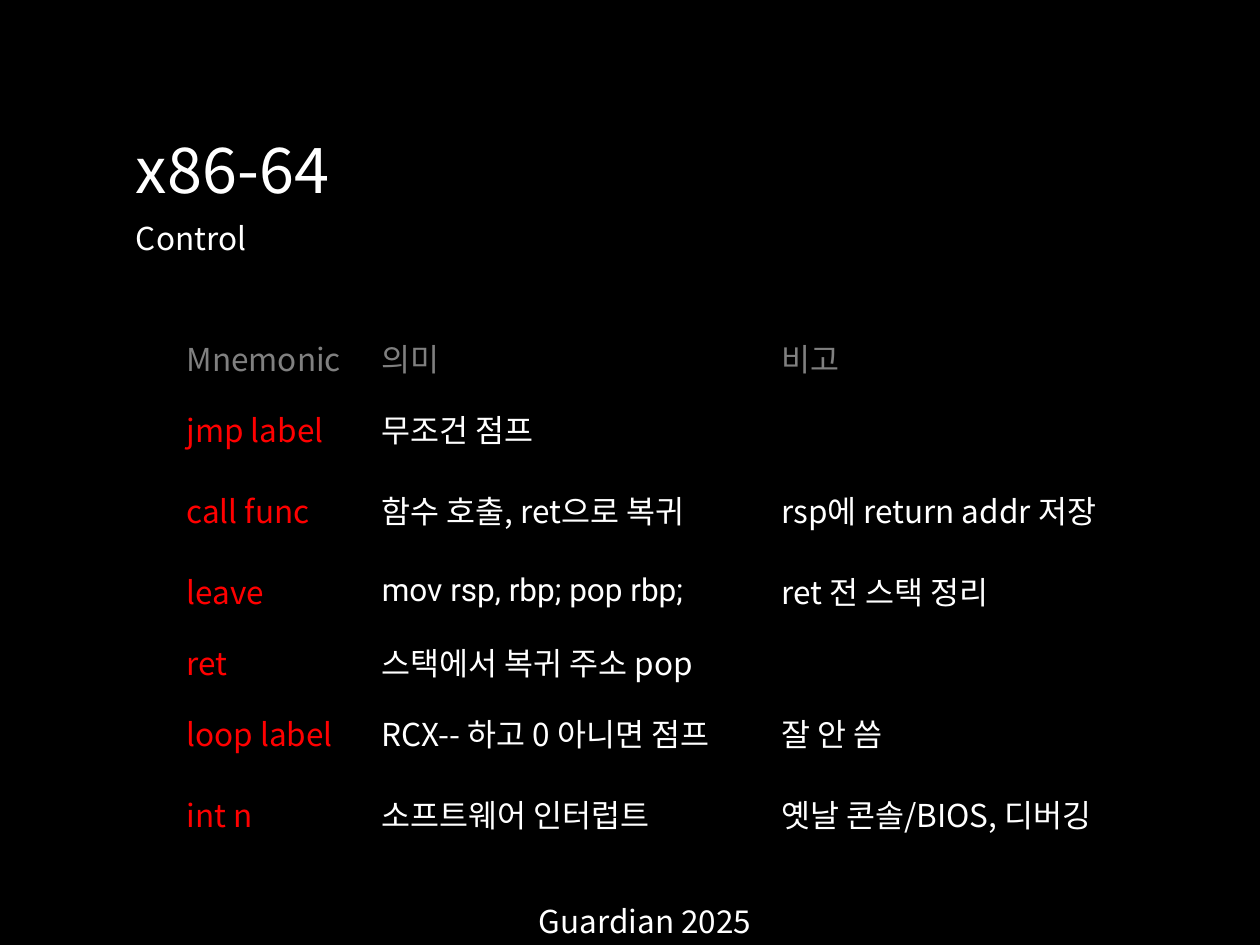
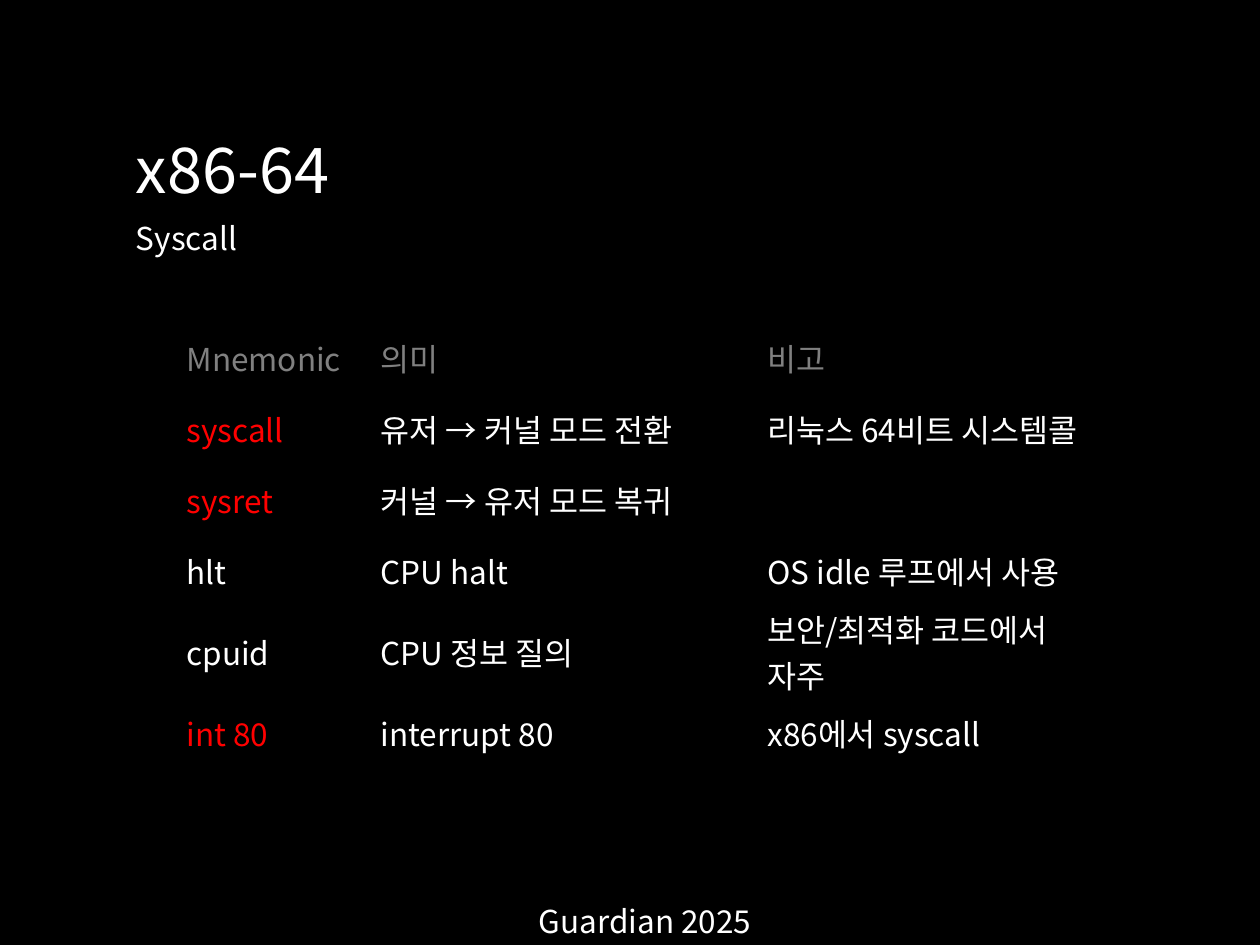
from dataclasses import dataclass

from lxml.etree import SubElement
from pptx import Presentation
from pptx.dml.color import RGBColor
from pptx.enum.text import MSO_ANCHOR as Anchor, MSO_AUTO_SIZE as AutoSize, PP_ALIGN as Align
from pptx.oxml.ns import qn
from pptx.util import Pt


@dataclass(frozen=True)
class Theme:
    font: str = "Noto Sans CJK KR"
    code_font: str = "Roboto"
    background: RGBColor = RGBColor(0x00, 0x00, 0x00)
    text: RGBColor = RGBColor(0xFF, 0xFF, 0xFF)
    header: RGBColor = RGBColor(0x80, 0x80, 0x80)
    key: RGBColor = RGBColor(0xFF, 0x00, 0x00)
    title_size: int = 36
    text_size: int = 18


THEME = Theme()
NO_STYLE_NO_GRID = "{2D5ABB26-0587-4C30-8999-92F81FD0307C}"
ROW_HEIGHT = 40.5

# Boxes in points: left, top, width, height
HEADING_BOX = (70.5, 70.5, 649.5, 80)
FOOTER_BOX = (226.8, 511.9, 283.7, 28.8)
TABLE_POSITION = (99.4, 184.3)

HEADER = ("Mnemonic", "의미", "비고")
CODE_TEXT = "mov rsp, rbp; pop rbp;"

CONTROL_ROWS = [
    ("jmp label", "무조건 점프", ""),
    ("call func", "함수 호출, ret으로 복귀", "rsp에 return addr 저장"),
    ("leave", CODE_TEXT, "ret 전 스택 정리"),
    ("ret", "스택에서 복귀 주소 pop", ""),
    ("loop label", "RCX-- 하고 0 아니면 점프", "잘 안 씀"),
    ("int n", "소프트웨어 인터럽트", "옛날 콘솔/BIOS, 디버깅"),
]
SYSCALL_ROWS = [
    ("syscall", "유저 → 커널 모드 전환", "리눅스 64비트 시스템콜"),
    ("sysret", "커널 → 유저 모드 복귀", ""),
    ("hlt", "CPU halt", "OS idle 루프에서 사용"),
    ("cpuid", "CPU 정보 질의", "보안/최적화 코드에서 자주"),
    ("int 80", "interrupt 80", "x86에서 syscall"),
]
PLAIN_MNEMONICS = {"hlt", "cpuid"}

# Subtitle, column widths, rows
SLIDES = [
    ("Control", (111.6, 228.2, 198.8), CONTROL_ROWS),
    ("Syscall", (110.9, 221.0, 206.7), SYSCALL_ROWS),
]


def write(paragraph, text, color=THEME.text, size=THEME.text_size, font=THEME.font):
    run = paragraph.add_run()
    run.text = text
    run.font.name = font
    run.font.size = Pt(size)
    run.font.color.rgb = color
    SubElement(run.font._element, qn("a:ea")).set("typeface", THEME.font)


def place_line(shape, box, text, size=THEME.text_size, align=Align.LEFT):
    """Put one line of text, centred vertically, in a box."""
    shape.left, shape.top, shape.width, shape.height = map(Pt, box)
    frame = shape.text_frame
    frame.word_wrap = True
    frame.auto_size = AutoSize.NONE
    frame.vertical_anchor = Anchor.MIDDLE
    paragraph = frame.paragraphs[0]
    paragraph.alignment = align
    paragraph.space_before = Pt(0)
    write(paragraph, text, size=size)


def set_up_master(presentation, slide):
    """Give every slide the black background and the footer."""
    master = presentation.slide_master
    fill = master.background.fill
    fill.solid()
    fill.fore_color.rgb = THEME.background
    footer = slide.shapes.add_textbox(*map(Pt, FOOTER_BOX))
    place_line(footer, FOOTER_BOX, "Guardian 2025", align=Align.CENTER)
    master.element.cSld.spTree.append(footer._element)


def add_heading(slide, box, subtitle):
    left, top, width, height = box
    title_height = 51.2
    place_line(slide.shapes.title, (left, top, width, title_height),
               "x86-64", THEME.title_size)
    place_line(slide.placeholders[1],
               (left, top + title_height, width, height - title_height), subtitle)


def cell_color(row_index, column_index, text):
    if row_index == 0:
        return THEME.header
    if column_index == 0 and text not in PLAIN_MNEMONICS:
        return THEME.key
    return THEME.text


def add_instruction_table(slide, position, widths, rows):
    left, top = position
    lines = [HEADER, *rows]
    frame = slide.shapes.add_table(
        len(lines), len(widths), Pt(left), Pt(top),
        Pt(sum(widths)), Pt(ROW_HEIGHT * len(lines)))
    table = frame.table
    frame._element.find(".//" + qn("a:tableStyleId")).text = NO_STYLE_NO_GRID
    table.horz_banding = False
    for column, width in zip(table.columns, widths):
        column.width = Pt(width)
    for row_index, line in enumerate(lines):
        table.rows[row_index].height = Pt(ROW_HEIGHT)
        for column_index, text in enumerate(line):
            cell = table.cell(row_index, column_index)
            cell.fill.background()
            cell.vertical_anchor = Anchor.MIDDLE
            cell.margin_top = cell.margin_bottom = Pt(0)
            if text:
                font = THEME.code_font if text == CODE_TEXT else THEME.font
                write(cell.text_frame.paragraphs[0], text,
                      cell_color(row_index, column_index, text), font=font)


def main():
    presentation = Presentation()
    presentation.slide_width, presentation.slide_height = Pt(720), Pt(540)
    for subtitle, widths, rows in SLIDES:
        slide = presentation.slides.add_slide(presentation.slide_layouts[0])
        add_heading(slide, HEADING_BOX, subtitle)
        add_instruction_table(slide, TABLE_POSITION, widths, rows)
    set_up_master(presentation, presentation.slides[0])
    presentation.save("out.pptx")


if __name__ == "__main__":
    main()
